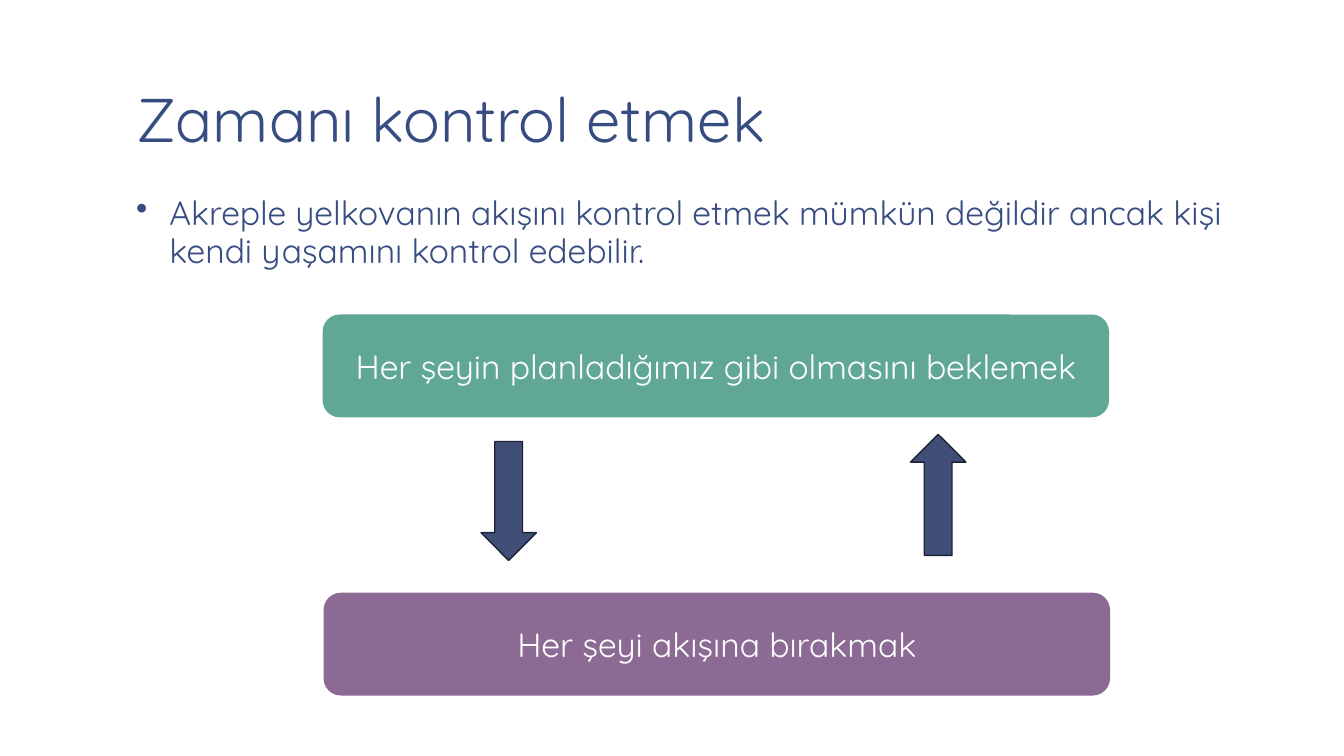
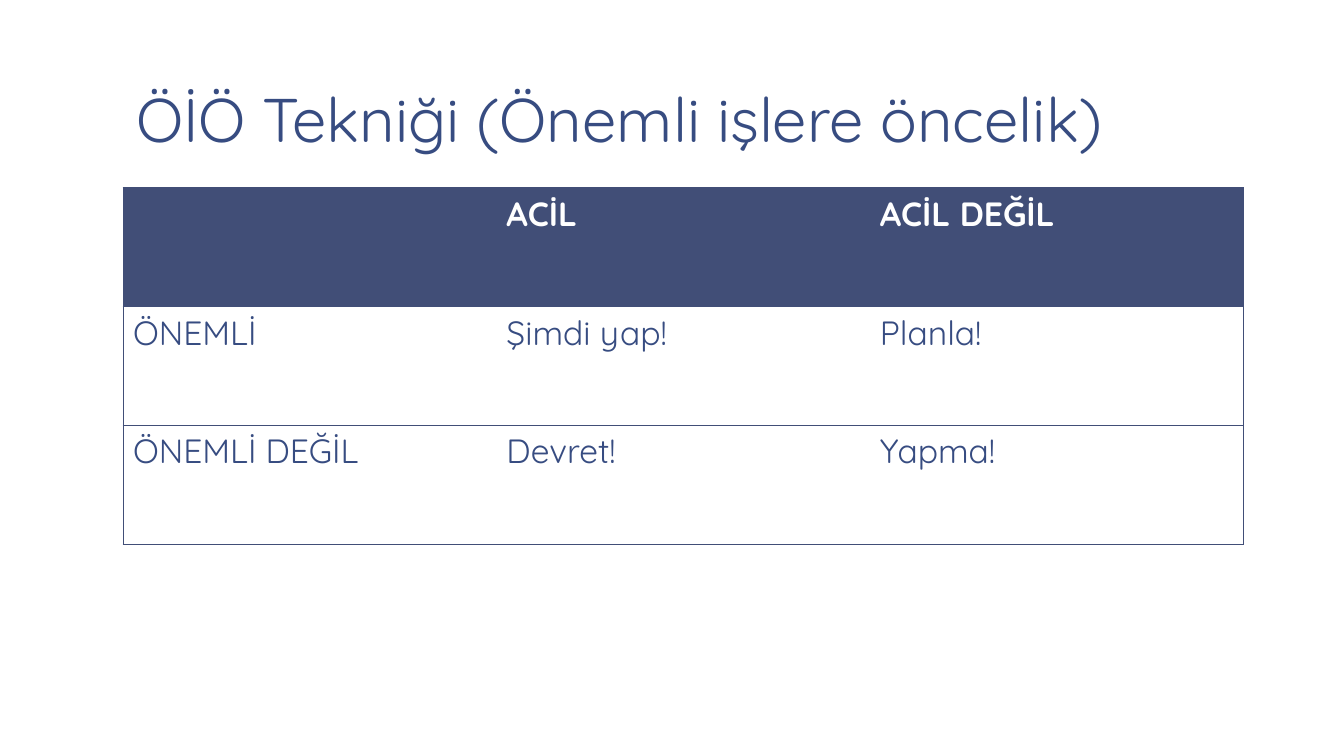
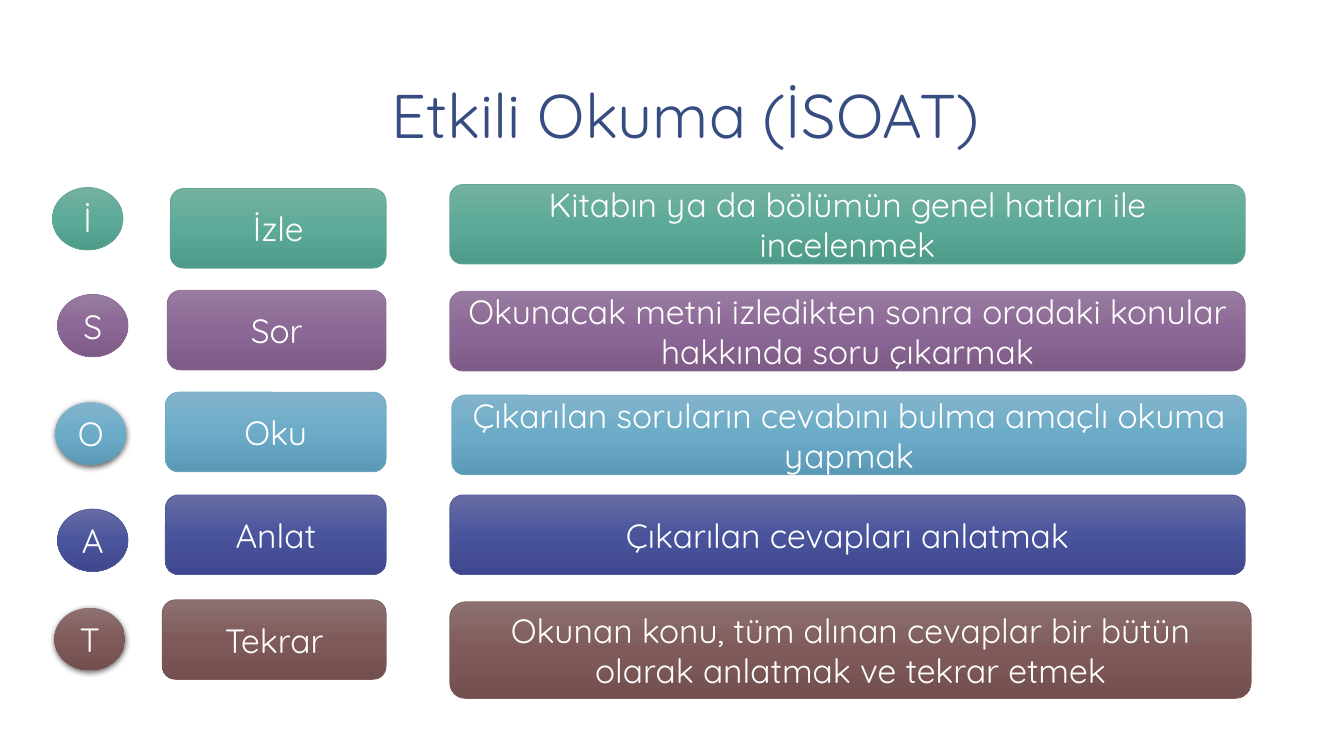
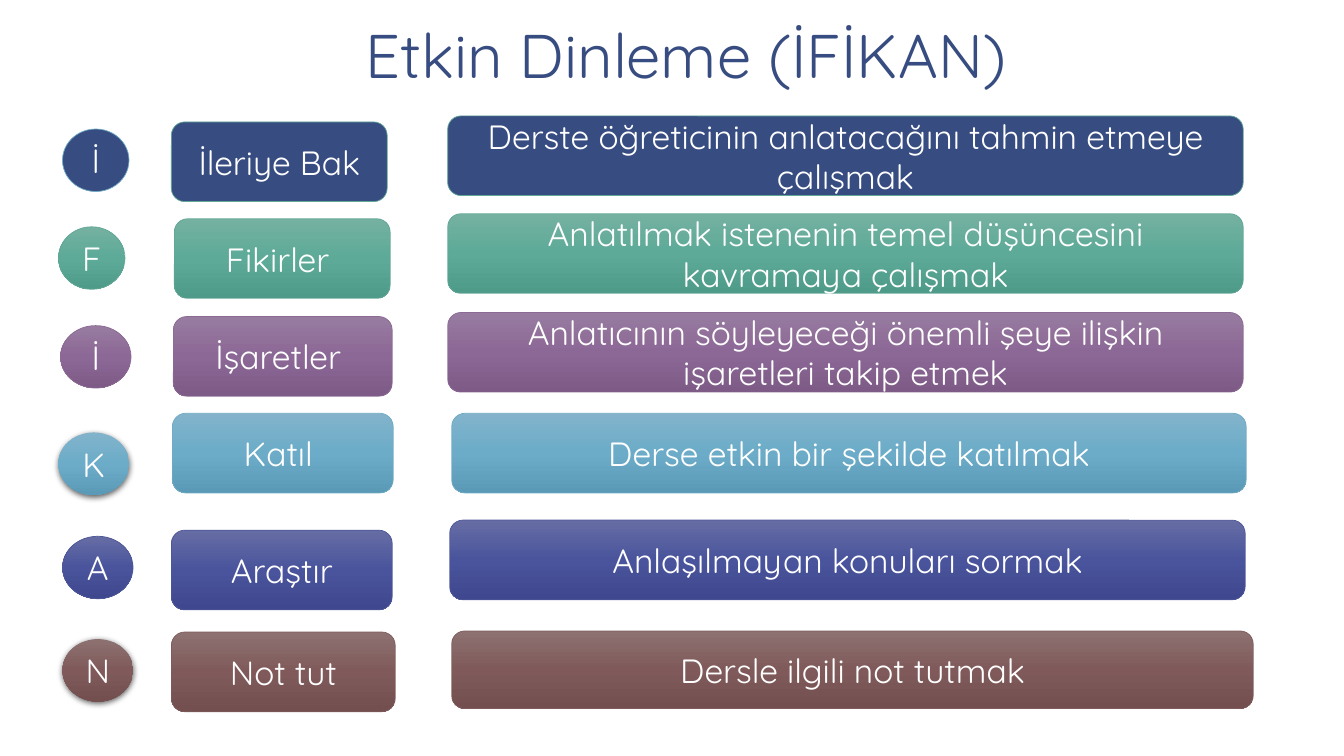
"""Build four slides on managing time, effective reading and active listening."""
import copy

import pptx
import pptx.dml.color
import pptx.enum.shapes
import pptx.enum.text
import pptx.oxml
import pptx.oxml.ns
import pptx.util
from lxml import etree

Inches = pptx.util.Inches
Pt = pptx.util.Pt
Shape = pptx.enum.shapes.MSO_SHAPE
Align = pptx.enum.text.PP_ALIGN
Anchor = pptx.enum.text.MSO_ANCHOR
qn = pptx.oxml.ns.qn

INK, SLATE, WHITE = "374C81", "414E77", "FFFFFF"
FONT = {"name": "Quicksand", "size": Pt(24)}
TITLE_FONT = {"name": "Quicksand", "size": Pt(44)}
ROOMY = {
    "margin_left": Inches(0.13), "margin_right": Inches(0.13),
    "margin_top": Inches(0.07), "margin_bottom": Inches(0.07),
}
TITLE_FRAME = {**ROOMY, "vertical_anchor": Anchor.BOTTOM}
BODY_FRAME = {**ROOMY, "vertical_anchor": Anchor.TOP}
CARD_FRAME = {"vertical_anchor": Anchor.MIDDLE}
CENTERED = {"alignment": Align.CENTER}

THEMES = {
    "navy": ([INK], "61A796"),
    "teal": (["75B1A1", "5DAA98", "4F9B89"], "61A796"),
    "plum": (["987CA0", "8C6896", "7E5A87"], "8B6A94"),
    "sky": (["82B3CB", "6CACC8", "5B9AB7"], "70AAC4"),
    "indigo": (["666DA4", "4A549C", "3F488E"], "4E5798"),
    "brown": (["8D7171", "805A5A", "734F4F"], "7E5C5C"),
}
RINGS = {"navy": "70AAC4", "sky": None, "brown": None}
SHADOW = (
    '<a:outerShdw xmlns:a="http://schemas.openxmlformats.org/drawingml/2006/main" '
    'blurRad="57150" dist="19050" dir="5400000" algn="ctr" rotWithShape="0">'
    '<a:srgbClr val="000000"><a:alpha val="63000"/></a:srgbClr></a:outerShdw>'
)


def colour(value):
    """Turn a hex string into a colour."""
    return pptx.dml.color.RGBColor.from_string(value)


def draw(page, kind, place, text="", fills=(), edge=None, weight=0.5,
         ink=WHITE, font=FONT, frame=CARD_FRAME, layout=CENTERED):
    """Add a preset shape, or a text box when kind is None."""
    place = [Inches(length) for length in place]
    if kind is None:
        box = page.shapes.add_textbox(*place)
    else:
        box = page.shapes.add_shape(kind, *place)
        box.shadow.inherit = False
        if len(fills) == 1:
            box.fill.solid()
            box.fill.fore_color.rgb = colour(fills[0])
        else:
            box.fill.gradient()
            box.fill.gradient_angle = 270
            stops = box.element.spPr.find(".//" + qn("a:gsLst"))
            stops.insert(1, copy.deepcopy(stops[0]))
            for index, stop in enumerate(box.fill.gradient_stops):
                stop.position = index / 2
                stop.color.rgb = colour(fills[index])
        if edge:
            box.line.color.rgb = colour(edge)
            box.line.width = Pt(weight)
        else:
            box.line.fill.background()
    if text:
        box.text_frame.word_wrap = True
        para = box.text_frame.paragraphs[0]
        span = para.add_run()
        span.text = text
        for target, values in ((box.text_frame, frame), (para, layout), (span.font, font)):
            for name, value in values.items():
                setattr(target, name, value)
        span.font.color.rgb = colour(ink)
    return box


deck = pptx.Presentation()
deck.slide_width, deck.slide_height = Inches(13.33), Inches(7.5)

titles = [
    ("Zamanı kontrol etmek", Align.LEFT, (1.22, 0.08, 11.11, 1.53)),
    ("ÖİÖ Tekniği (Önemli işlere öncelik)", Align.LEFT, (1.22, 0.08, 11.11, 1.53)),
    ("Etkili Okuma (İSOAT)", Align.CENTER, (1.25, 0.04, 11.11, 1.53)),
    ("Etkin Dinleme (İFİKAN)", Align.CENTER, (1.25, 0.04, 11.11, 0.93)),
]
pages = []
for title, alignment, place in titles:
    page = deck.slides.add_slide(deck.slide_layouts[6])
    draw(page, None, place, title, ink=INK, font=TITLE_FONT, frame=TITLE_FRAME,
         layout={"alignment": alignment, "line_spacing": 0.85})
    pages.append(page)
control_page, priority_page, reading_page, listening_page = pages

advice = draw(
    control_page, None, (1.22, 1.86, 11.11, 4.89),
    "Akreple yelkovanın akışını kontrol etmek mümkün değildir ancak kişi "
    "kendi yaşamını kontrol edebilir.",
    ink=INK, frame=BODY_FRAME, layout={"line_spacing": 0.95})
properties = advice.text_frame.paragraphs[0]._p.get_or_add_pPr()
properties.set("marL", str(Inches(0.33)))
properties.set("indent", str(-Inches(0.33)))
etree.SubElement(properties, qn("a:buChar")).set("char", "•")

draw(control_page, Shape.ROUNDED_RECTANGLE, (3.2, 3.12, 7.8, 1.02),
     "Her şeyin planladığımız gibi olmasını beklemek", ["61A796"])
draw(control_page, Shape.ROUNDED_RECTANGLE, (3.21, 5.88, 7.8, 1.02),
     "Her şeyi akışına bırakmak", ["8B6A94"])
draw(control_page, Shape.DOWN_ARROW, (4.77, 4.38, 0.55, 1.18),
     fills=[SLATE], edge="1C2234", weight=1)
draw(control_page, Shape.UP_ARROW, (9.03, 4.31, 0.55, 1.2),
     fills=[SLATE], edge="1C2234", weight=1)

matrix = [
    ["", "ACİL", "ACİL DEĞİL"],
    ["ÖNEMLİ", "Şimdi yap!", "Planla!"],
    ["ÖNEMLİ DEĞİL", "Devret!", "Yapma!"],
]
table_frame = priority_page.shapes.add_table(
    3, 3, Inches(1.22), Inches(1.86), Inches(11.11), Inches(3.54))
table = table_frame.table
table.first_row = table.horz_banding = False
style = table_frame.element.find(".//" + qn("a:tableStyleId"))
style.text = "{2D5ABB26-0587-4C30-8999-92F81FD0307C}"
for row_index, words in enumerate(matrix):
    table.rows[row_index].height = Inches(1.18)
    for column_index, word in enumerate(words):
        cell = table.cell(row_index, column_index)
        sides = {"a:lnL": column_index == 0, "a:lnR": column_index == 2,
                 "a:lnT": True, "a:lnB": True}
        for side, visible in sides.items():
            if visible:
                border = etree.SubElement(cell._tc.get_or_add_tcPr(), qn(side), w=str(Pt(0.5)))
                solid = etree.SubElement(border, qn("a:solidFill"))
                etree.SubElement(solid, qn("a:srgbClr"), val=SLATE)
        header = row_index == 0
        if header:
            cell.fill.solid()
            cell.fill.fore_color.rgb = colour(SLATE)
        else:
            cell.fill.background()
        if word:
            span = cell.text_frame.paragraphs[0].add_run()
            span.text = word
            for name, value in {**FONT, "bold": header}.items():
                setattr(span.font, name, value)
            span.font.color.rgb = colour(WHITE if header else INK)

reading_steps = [
    ("teal", "İ", (0.52, 1.86, 0.7), "İzle", (1.69, 1.87, 2.14),
     "Kitabın ya da bölümün genel hatları ile incelenmek", (4.46, 1.83, 7.89, 0.79)),
    ("plum", "S", (0.57, 2.92, 0.7), "Sor", (1.66, 2.88, 2.17),
     "Okunacak metni izledikten sonra oradaki konular hakkında soru çıkarmak",
     (4.46, 2.89, 7.89, 0.79)),
    ("sky", "O", (0.55, 3.99, 0.7), "Oku", (1.64, 3.89, 2.19),
     "Çıkarılan soruların cevabını bulma amaçlı okuma yapmak", (4.48, 3.92, 7.88, 0.79)),
    ("indigo", "A", (0.57, 5.05, 0.7), "Anlat", (1.64, 4.91, 2.19),
     "Çıkarılan cevapları anlatmak", (4.46, 4.91, 7.89, 0.79)),
    ("brown", "T", (0.54, 6.03, 0.7), "Tekrar", (1.61, 5.95, 2.22),
     "Okunan konu, tüm alınan cevaplar bir bütün olarak anlatmak ve tekrar etmek",
     (4.46, 5.97, 7.95, 0.96)),
]
listening_steps = [
    ("navy", "İ", (0.62, 1.28, 0.66), "İleriye Bak", (1.7, 1.21, 2.14),
     "Derste öğreticinin anlatacağını tahmin etmeye çalışmak", (4.44, 1.15, 7.89, 0.79)),
    ("teal", "F", (0.58, 2.25, 0.66), "Fikirler ", (1.73, 2.17, 2.14),
     "Anlatılmak istenenin temel düşüncesini kavramaya çalışmak", (4.44, 2.12, 7.89, 0.79)),
    ("plum", "İ", (0.6, 3.23, 0.7), "İşaretler ", (1.72, 3.14, 2.17),
     "Anlatıcının söyleyeceği önemli şeye ilişkin işaretleri takip etmek",
     (4.44, 3.1, 7.89, 0.79)),
    ("sky", "K", (0.58, 4.29, 0.7), "Katıl ", (1.71, 4.1, 2.19),
     "Derse etkin bir şekilde katılmak", (4.48, 4.1, 7.88, 0.79)),
    ("indigo", "A", (0.62, 5.32, 0.7), "Araştır", (1.7, 5.26, 2.19),
     "Anlaşılmayan konuları sormak", (4.46, 5.16, 7.89, 0.79)),
    ("brown", "N", (0.62, 6.34, 0.7), "Not tut", (1.7, 6.27, 2.22),
     "Dersle ilgili not tutmak", (4.48, 6.26, 7.95, 0.77)),
]
for page, steps in ((reading_page, reading_steps), (listening_page, listening_steps)):
    for theme, letter, badge_place, step, step_place, meaning, meaning_place in steps:
        fills, edge = THEMES[theme]
        ring = RINGS.get(theme, edge)
        badge = draw(page, Shape.OVAL, (*badge_place, 0.62), letter, fills, ring)
        if ring is None:
            effects = badge.element.spPr.find(qn("a:effectLst"))
            effects.append(pptx.oxml.parse_xml(SHADOW))
        draw(page, Shape.ROUNDED_RECTANGLE, (*step_place, 0.79), step, fills, edge)
        draw(page, Shape.ROUNDED_RECTANGLE, meaning_place, meaning, fills, edge)

deck.save("out.pptx")
